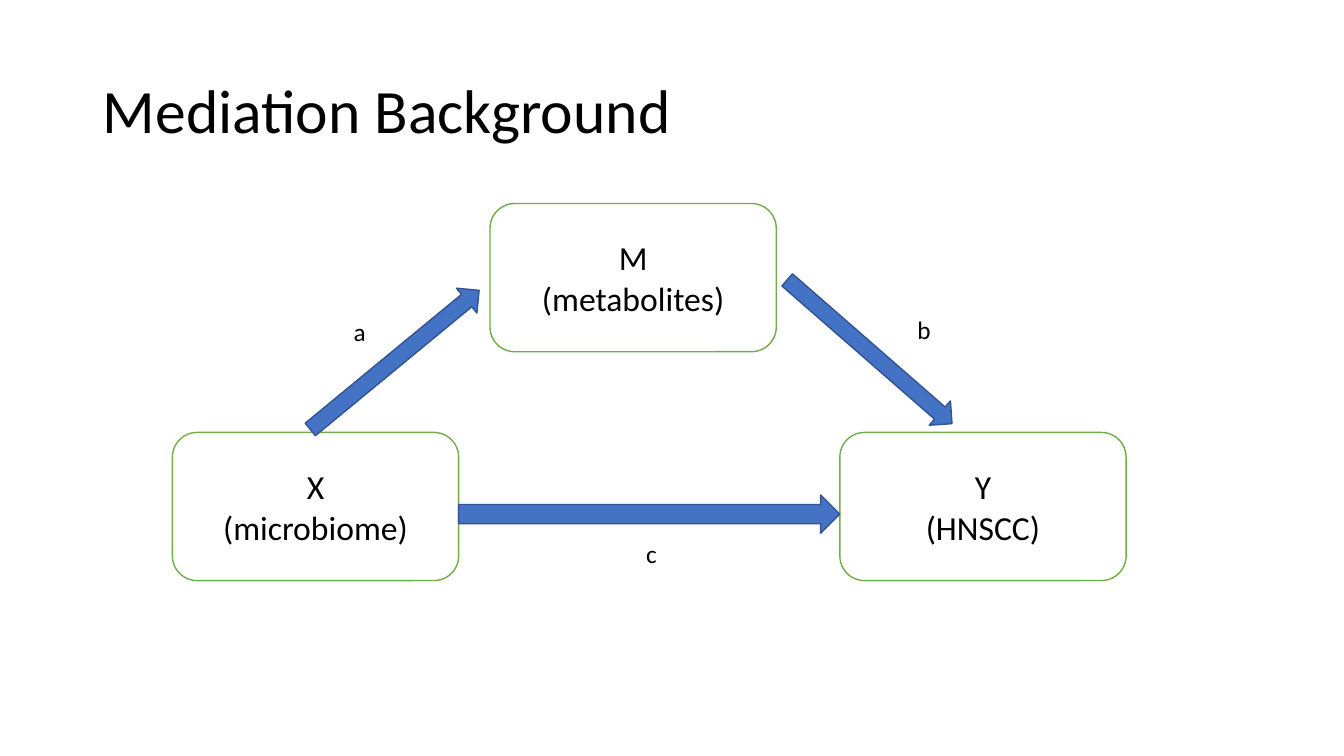
from pptx import Presentation
from pptx.dml.color import RGBColor
from pptx.enum.shapes import MSO_SHAPE
from pptx.enum.text import MSO_ANCHOR, PP_ALIGN
from pptx.util import Inches, Pt

ROUND, ARROW = MSO_SHAPE.ROUNDED_RECTANGLE, MSO_SHAPE.RIGHT_ARROW
MIDDLE = MSO_ANCHOR.MIDDLE
LEFT, CENTER = PP_ALIGN.LEFT, PP_ALIGN.CENTER
WHITE = RGBColor(0xFF, 0xFF, 0xFF)
BLACK = RGBColor(0x00, 0x00, 0x00)
GREEN = RGBColor(0x70, 0xAD, 0x47)
BLUE = RGBColor(0x44, 0x72, 0xC4)
NAVY = RGBColor(0x32, 0x54, 0x91)
FONT = "Calibri"
WIDTH, HEIGHT = Inches(13.33), Inches(7.5)
BOX_W, BOX_H = 21.3, 19.6
LEFT_X, MID_X, RIGHT_X = 12.83, 36.46, 62.49
TOP_Y, BASE_Y = 26.93, 57.2


def area(left, top, width, height):
    """Turn percentages of the slide into lengths."""
    return (int(WIDTH * left / 100), int(HEIGHT * top / 100),
            int(WIDTH * width / 100), int(HEIGHT * height / 100))


def write(frame, text, size, align):
    """Fill a text frame, one paragraph per line of text."""
    frame.text = text
    for para in frame.paragraphs:
        para.alignment = align
        para.font.name = FONT
        para.font.size = Pt(size)
        para.font.color.rgb = BLACK


def add_title(slide, text):
    """Place and format the slide title."""
    title = slide.shapes.title
    title.left, title.top, title.width, title.height = area(6.9, 5.33, 86.27, 19.33)
    write(title.text_frame, text, 44, LEFT)
    title.text_frame.vertical_anchor = MIDDLE
    title.text_frame.paragraphs[0].line_spacing = 0.9


def add_form(slide, kind, place, fill, line):
    """Add a flat preset shape with a thin outline."""
    form = slide.shapes.add_shape(kind, *area(*place))
    form.shadow.inherit = False
    form.fill.solid()
    form.fill.fore_color.rgb = fill
    form.line.color.rgb = line
    form.line.width = Pt(1)
    return form


def add_box(slide, left, top, text):
    """Add a rounded box for one variable."""
    box = add_form(slide, ROUND, (left, top, BOX_W, BOX_H), WHITE, GREEN)
    write(box.text_frame, text, 24, CENTER)
    box.text_frame.vertical_anchor = MIDDLE


def add_arrow(slide, place, angle=0):
    """Add a block arrow turned by an angle."""
    add_form(slide, ARROW, place, BLUE, NAVY).rotation = angle


def add_label(slide, left, top, text):
    """Add the letter of one path."""
    label = slide.shapes.add_textbox(*area(left, top, 2.55, 5.33))
    label.text_frame.word_wrap = True
    write(label.text_frame, text, 18, LEFT)


def main():
    """Build the mediation diagram and save it."""
    deck = Presentation()
    deck.slide_width, deck.slide_height = WIDTH, HEIGHT
    slide = deck.slides.add_slide(deck.slide_layouts[5])
    add_title(slide, "Mediation Background")

    add_box(slide, LEFT_X, BASE_Y, "X\n(microbiome)")
    add_box(slide, MID_X, TOP_Y, "M\n(metabolites)")
    add_box(slide, RIGHT_X, BASE_Y, "Y\n(HNSCC)")

    start = LEFT_X + BOX_W
    add_arrow(slide, (21.23, 45.47, 16.28, 4.27), 320.5)
    add_arrow(slide, (start, 65.47, RIGHT_X - start, 5.07))
    add_arrow(slide, (56.56, 44.4, 16.28, 4.27), 41.1)

    add_label(slide, 25.58, 41.2, "a")
    add_label(slide, 67.52, 40.93, "b")
    add_label(slide, 47.34, 70.53, "c")
    deck.save("out.pptx")


if __name__ == "__main__":
    main()
